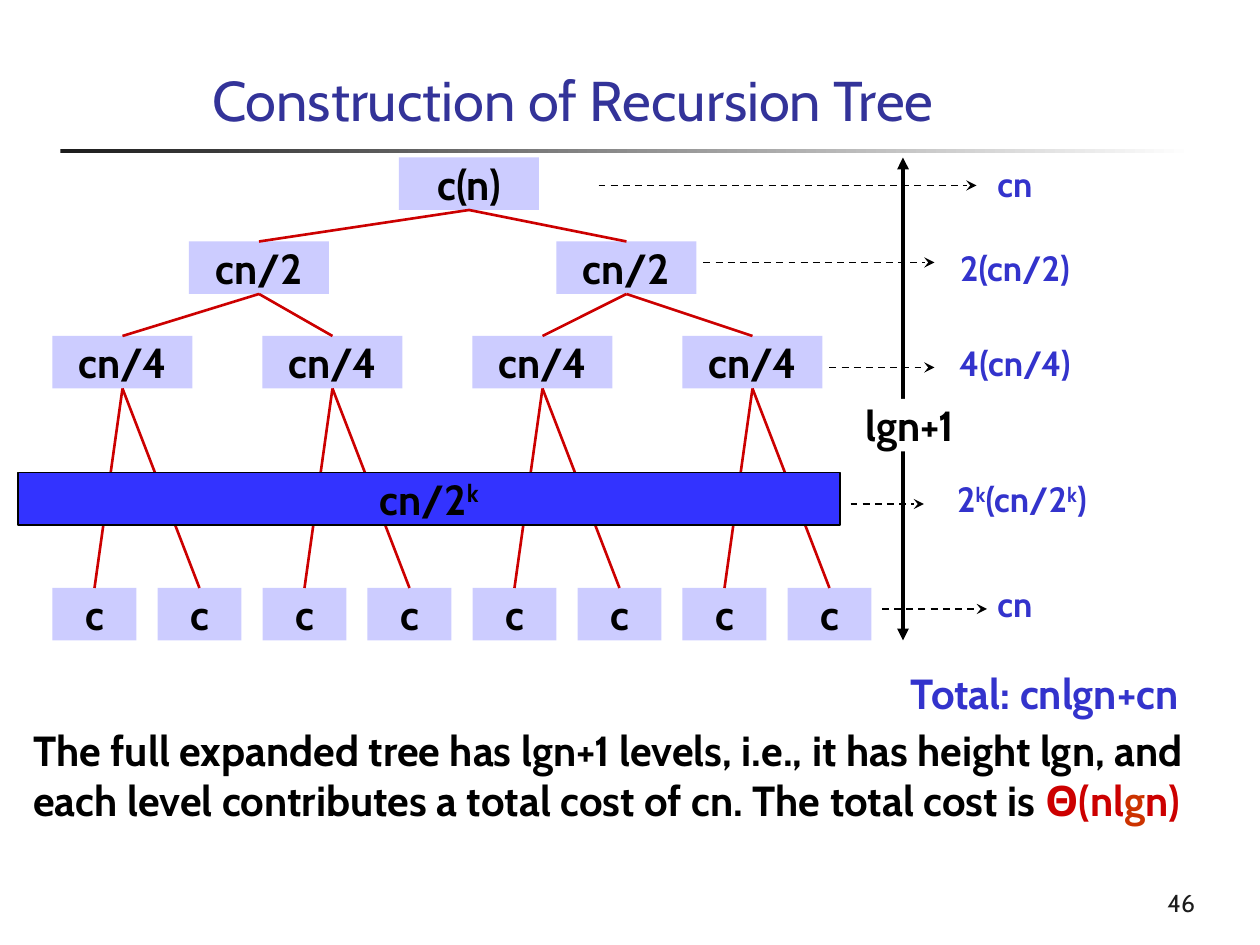
from lxml import etree
from pptx import Presentation
from pptx.dml.color import RGBColor
from pptx.enum.dml import MSO_LINE
from pptx.enum.shapes import MSO_CONNECTOR, MSO_SHAPE
from pptx.enum.text import MSO_ANCHOR, MSO_AUTO_SIZE, PP_ALIGN
from pptx.oxml.ns import qn
from pptx.util import Pt

DASH = MSO_LINE.DASH
STRAIGHT = MSO_CONNECTOR.STRAIGHT
RECTANGLE = MSO_SHAPE.RECTANGLE
TOP, MIDDLE, BOTTOM = MSO_ANCHOR.TOP, MSO_ANCHOR.MIDDLE, MSO_ANCHOR.BOTTOM
LEFT, CENTER, RIGHT = PP_ALIGN.LEFT, PP_ALIGN.CENTER, PP_ALIGN.RIGHT
NO_AUTOFIT = MSO_AUTO_SIZE.NONE

FONT = "Cabin"
TITLE_ONLY = 5
BLACK, RED, BLUE, LILAC = "000000", "CC0000", "3333CC", "CCCCFF"
NODE_WIDTH, LEAF_WIDTH, NODE_HEIGHT = 80, 48, 30
LEVELS = [
    ("c(n)", 90, NODE_WIDTH, [228]),
    ("cn/2", 138, NODE_WIDTH, [108, 318]),
    ("cn/4", 192, NODE_WIDTH, [30 + 120 * i for i in range(4)]),
    ("c", 336, LEAF_WIDTH, [30 + 60 * i for i in range(8)]),
]
LEVEL_COSTS = [
    (["cn"], 540, 90, 342, 558, 106),
    (["2(cn/2)"], 540, 138, 402, 534, 150),
    (["4(cn/4)"], 540, 192, 474, 534, 210),
    (["2", "^k", "(cn/2", "^k", ")"], 544, 270, 486, 528, 288),
    (["cn"], 540, 330, 504, 564, 348),
]


def color(hex_code):
    return RGBColor.from_string(hex_code)


def write(shape, runs, size, align=CENTER, anchor=MIDDLE, bold=True, wrap=False):
    frame = shape.text_frame
    frame.auto_size = NO_AUTOFIT
    frame.word_wrap = wrap
    frame.vertical_anchor = anchor
    paragraph = frame.paragraphs[0]
    paragraph.alignment = align
    for text, hex_code in runs:
        run = paragraph.add_run()
        run.text = text.lstrip("^")
        run.font.name = FONT
        run.font.size = Pt(size)
        run.font.bold = bold
        run.font.color.rgb = color(hex_code)
        if text.startswith("^"):
            run.font._element.set("baseline", "30000")


def add_label(slide, box, runs, size, **layout):
    label = slide.shapes.add_textbox(*map(Pt, box))
    write(label, runs, size, **layout)


def add_box(slide, box, fill, runs, outline=None):
    node = slide.shapes.add_shape(RECTANGLE, *map(Pt, box))
    node.shadow.inherit = False
    node.fill.solid()
    node.fill.fore_color.rgb = color(fill)
    if outline:
        node.line.color.rgb = color(outline)
        node.line.width = Pt(1)
    else:
        node.line.fill.background()
    write(node, runs, 24)


def add_line(slide, start, end, hex_code, width, dash=None, head=None, tail=None):
    link = slide.shapes.add_connector(STRAIGHT, *map(Pt, (*start, *end)))
    link.line.color.rgb = color(hex_code)
    link.line.width = Pt(width)
    if dash:
        link.line.dash_style = dash
    properties = link._element.spPr
    outline = properties.find(qn("a:ln"))
    for tag, arrow in (("a:headEnd", head), ("a:tailEnd", tail)):
        if arrow:
            etree.SubElement(outline, qn(tag)).set("type", arrow)
    etree.SubElement(properties, qn("a:effectLst"))


def add_title(slide):
    title = slide.shapes.title
    title.left, title.top, title.width, title.height = map(Pt, (114, 34, 588, 46))
    write(title, [("Construction of Recursion Tree", "333399")], 32,
          align=LEFT, anchor=TOP, bold=False, wrap=True)


def add_title_rule(slide):
    rule = slide.shapes.add_shape(RECTANGLE, *map(Pt, (34.5, 85, 648, 2.2)))
    rule.shadow.inherit = False
    rule.line.fill.background()
    rule.fill.gradient()
    rule.fill.gradient_angle = 0
    for stop, hex_code in zip(rule.fill.gradient_stops, ("1C1C1C", "FFFFFF")):
        stop.color.rgb = color(hex_code)


def add_tree(slide):
    for text, top, width, lefts in LEVELS:
        for left in lefts:
            add_box(slide, (left, top, width, NODE_HEIGHT), LILAC, [(text, BLACK)])
    for parents, children in zip(LEVELS, LEVELS[1:]):
        _, parent_top, parent_width, parent_lefts = parents
        _, child_top, child_width, child_lefts = children
        for i, left in enumerate(child_lefts):
            child = (left + child_width / 2, child_top)
            parent = (parent_lefts[i // 2] + parent_width / 2, parent_top + NODE_HEIGHT)
            add_line(slide, child, parent, RED, 1.5)
    add_box(slide, (10.5, 270, 469.5, NODE_HEIGHT), "3333FF",
            [("cn/2", BLACK), ("^k", BLACK)], outline=BLACK)


def add_height(slide):
    add_line(slide, (516, 90), (516, 366), BLACK, 2.25, head="triangle", tail="triangle")
    add_box(slide, (480, 228, NODE_WIDTH, NODE_HEIGHT), "FFFFFF", [("lgn+1", BLACK)])


def add_level_costs(slide):
    for parts, left, top, arrow_start, arrow_end, arrow_y in LEVEL_COSTS:
        add_label(slide, (left, top, NODE_WIDTH, NODE_HEIGHT),
                  [(part, BLUE) for part in parts], 20)
        add_line(slide, (arrow_start, arrow_y), (arrow_end, arrow_y), BLACK, 1,
                 dash=DASH, tail="stealth")
    add_label(slide, (504, 372, 186, 48), [("Total: cnlgn+cn", BLUE)], 24)


def add_conclusion(slide):
    add_label(slide, (12, 410.5, 690, 93.5), [
        ("The full expanded tree has lgn+1 levels, i.e., it has height lgn, and "
         "each level contributes a total cost of cn. The total cost is ", BLACK),
        ("Θ(nl", RED), ("g", "CC3300"), ("n)", RED),
    ], 24, align=LEFT, anchor=TOP, wrap=True)


def main():
    deck = Presentation()
    deck.slide_width, deck.slide_height = Pt(720), Pt(540)
    slide = deck.slides.add_slide(deck.slide_layouts[TITLE_ONLY])
    add_title_rule(slide)
    add_title(slide)
    add_height(slide)
    add_tree(slide)
    add_level_costs(slide)
    add_conclusion(slide)
    add_label(slide, (540, 492, 150, 36), [("46", "1C1C1C")], 14,
              align=RIGHT, anchor=BOTTOM, bold=False, wrap=True)
    deck.save("out.pptx")


if __name__ == "__main__":
    main()
